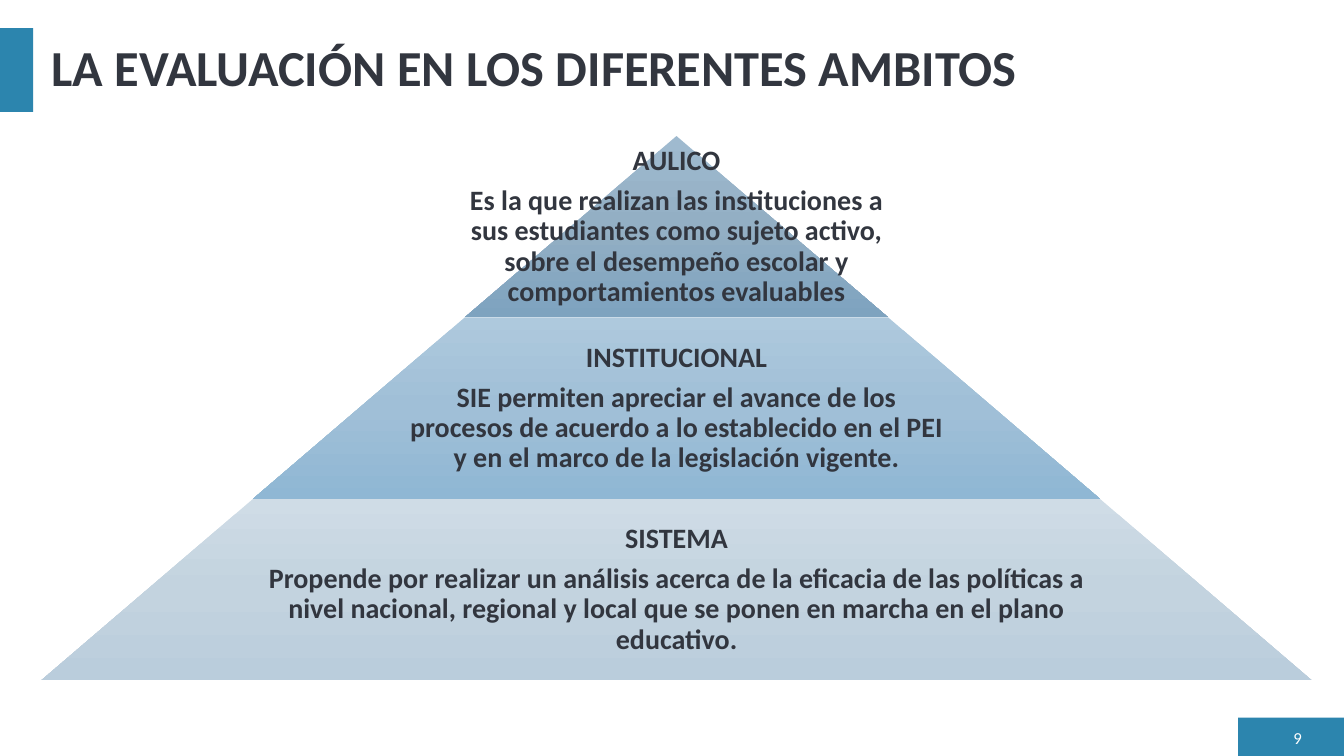
from copy import deepcopy

from pptx import Presentation
from pptx.dml.color import RGBColor
from pptx.enum.shapes import MSO_SHAPE
from pptx.enum.text import MSO_ANCHOR, MSO_AUTO_SIZE, PP_ALIGN
from pptx.oxml.ns import qn
from pptx.util import Inches, Pt

# Content
TITLE = "LA EVALUACIÓN EN LOS DIFERENTES AMBITOS"
PAGE_NUMBER = "9"
# Heading, description, gradient from top to bottom, text share of the width
LEVELS = [
    ("AULICO",
     "Es la que realizan las instituciones a sus estudiantes como sujeto activo, "
     "sobre el desempeño escolar y comportamientos evaluables",
     ("9FBACF", "93AFC4", "7EA3BF"), 1),
    ("INSTITUCIONAL",
     "SIE permiten apreciar el avance de los procesos de acuerdo a lo establecido "
     "en el PEI y en el marco de la legislación vigente.",
     ("AEC9DD", "A0BFD7", "8FB7D4"), 0.65),
    ("SISTEMA",
     "Propende por realizar un análisis acerca de la eficacia de las políticas a "
     "nivel nacional, regional y local que se ponen en marcha en el plano educativo.",
     ("CFDCE6", "C3D3DF", "BACDDC"), 0.65),
]

FONT = "Calibri"
ACCENT = RGBColor(0x2C, 0x85, 0xAE)
DARK = RGBColor(0x32, 0x36, 0x3F)
WHITE = RGBColor(0xFF, 0xFF, 0xFF)

# Pyramid geometry, in inches
CENTER, TOP = 6.71, 1.35
WIDTH_STEP, BAND_HEIGHT = 4.2, 1.8


def format_paragraph(paragraph, size, color, alignment, bold=True):
    paragraph.alignment = alignment
    font = paragraph.font
    font.name, font.size, font.bold = FONT, Pt(size), bold
    font.color.rgb = color


def add_plain_shape(slide, kind, left, top, width, height):
    shape = slide.shapes.add_shape(
        kind, Inches(left), Inches(top), Inches(width), Inches(height))
    shape.shadow.inherit = False
    shape.line.fill.background()
    return shape


def add_text(slide, left, top, width, height):
    box = slide.shapes.add_textbox(
        Inches(left), Inches(top), Inches(width), Inches(height))
    frame = box.text_frame
    frame.word_wrap = True
    frame.vertical_anchor = MSO_ANCHOR.MIDDLE
    return frame


def fill_gradient(shape, colors):
    fill = shape.fill
    fill.gradient()
    fill.gradient_angle = 270
    first_stop = shape.element.spPr.find(".//" + qn("a:gs"))
    first_stop.addnext(deepcopy(first_stop))
    for stop, position, color in zip(fill.gradient_stops, (0, 0.5, 1), colors):
        stop.position = position
        stop.color.rgb = RGBColor.from_string(color)


def add_level(slide, index, heading, description, colors, text_share):
    width = WIDTH_STEP * (index + 1)
    top = TOP + BAND_HEIGHT * index
    band = add_plain_shape(slide, MSO_SHAPE.TRAPEZOID,
                           CENTER - width / 2, top, width, BAND_HEIGHT)
    band.adjustments[0] = WIDTH_STEP / 2 / BAND_HEIGHT
    fill_gradient(band, colors)

    text_width = width * text_share
    frame = add_text(slide, CENTER - text_width / 2, top, text_width, BAND_HEIGHT)
    frame.margin_left = frame.margin_right = Inches(0.03)
    frame.margin_top = frame.margin_bottom = Inches(0.03)
    frame.text = f"{heading}\n{description}"
    for paragraph in frame.paragraphs:
        format_paragraph(paragraph, 20, DARK, PP_ALIGN.CENTER)
        paragraph.line_spacing = 0.9
        paragraph.space_after = Pt(7)


def main():
    presentation = Presentation()
    presentation.slide_width, presentation.slide_height = Inches(13.33), Inches(7.5)
    slide = presentation.slides.add_slide(presentation.slide_layouts[5])

    # Accent blocks beside the title and behind the page number
    for bounds in ((12.28, 7.12, 1.05, 0.38), (0, 0.28, 0.33, 0.83)):
        block = add_plain_shape(slide, MSO_SHAPE.RECTANGLE, *bounds)
        block.fill.solid()
        block.fill.fore_color.rgb = ACCENT

    # Title
    title = slide.shapes.title
    title.left, title.top = Inches(0.41), Inches(0.28)
    title.width, title.height = Inches(12.6), Inches(0.83)
    frame = title.text_frame
    frame.text = TITLE
    frame.auto_size = MSO_AUTO_SIZE.NONE
    frame.vertical_anchor = MSO_ANCHOR.MIDDLE
    format_paragraph(frame.paragraphs[0], 36, DARK, PP_ALIGN.LEFT)
    frame.paragraphs[0].line_spacing = 0.9

    # Pyramid
    for index, level in enumerate(LEVELS):
        add_level(slide, index, *level)

    # Page number
    frame = add_text(slide, 12.6, 7.2, 0.41, 0.23)
    frame.text = PAGE_NUMBER
    format_paragraph(frame.paragraphs[0], 12, WHITE, PP_ALIGN.RIGHT, bold=False)

    presentation.save("out.pptx")


if __name__ == "__main__":
    main()
